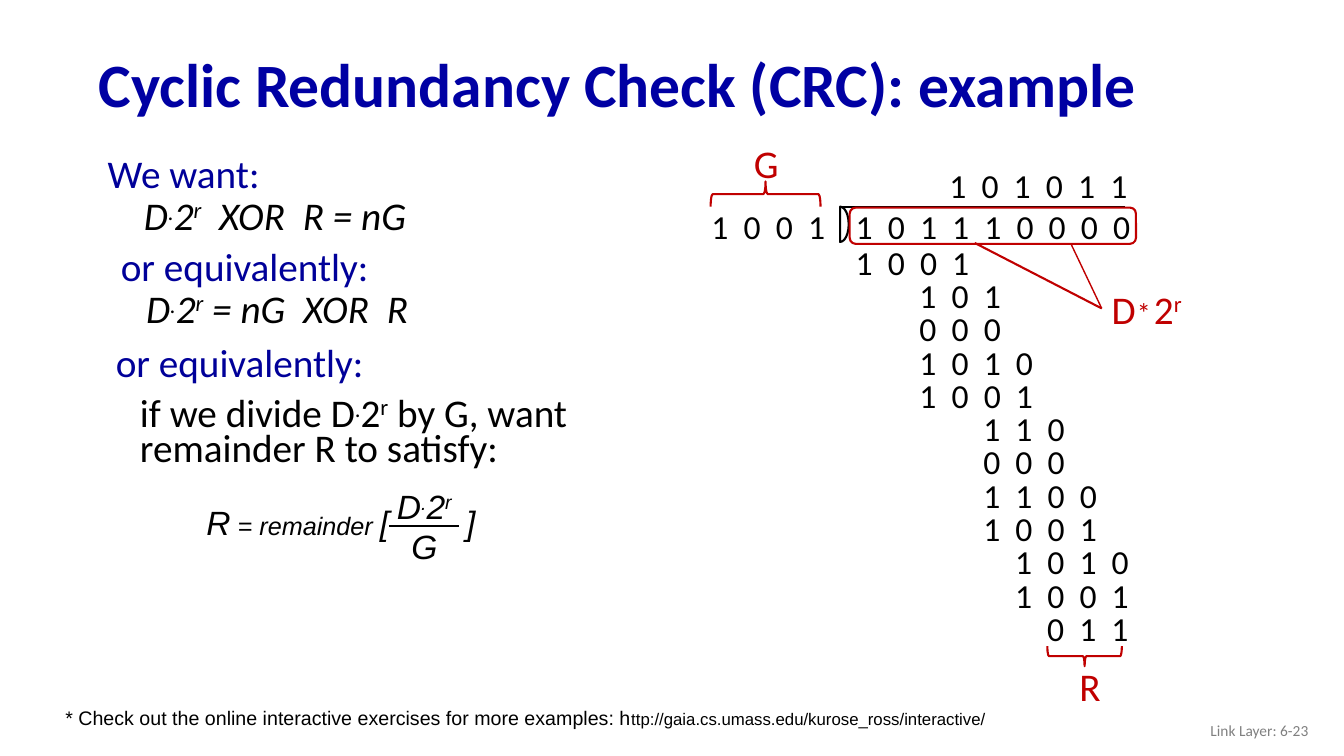
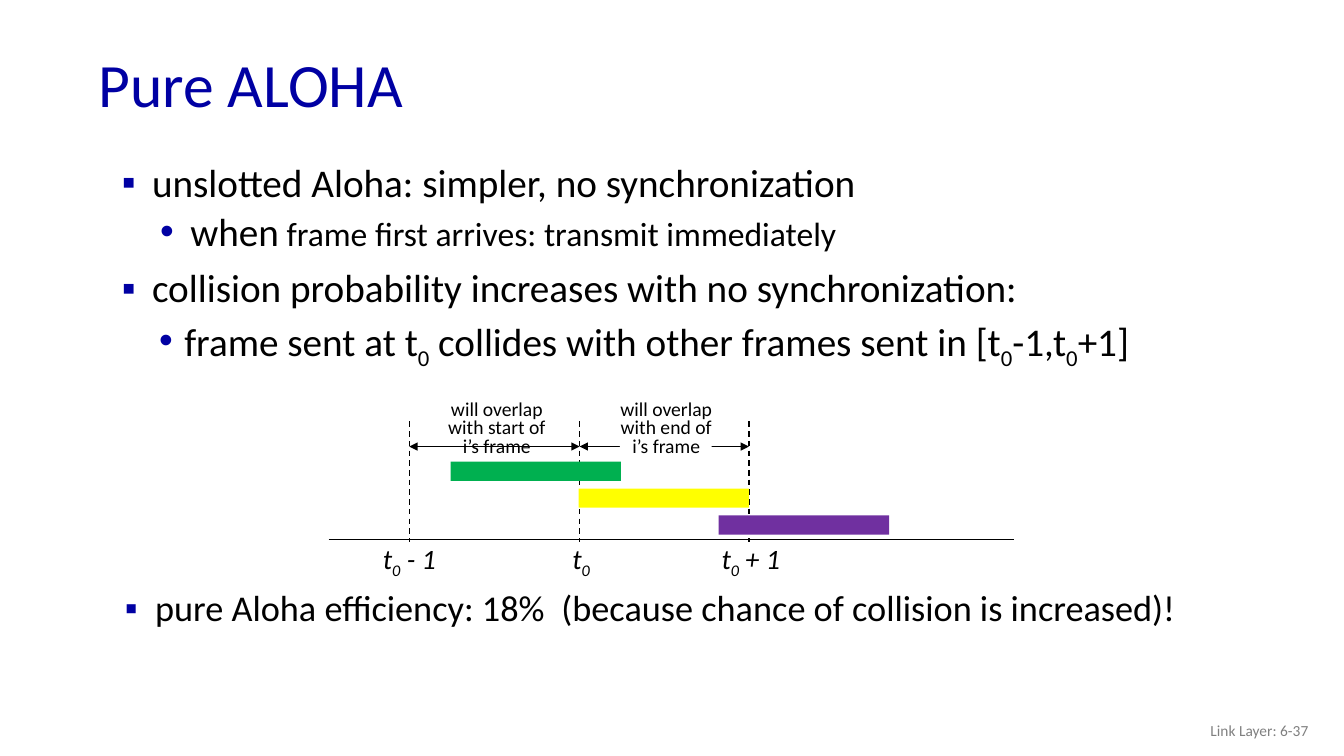
from lxml.etree import SubElement
from pptx import Presentation
from pptx.dml.color import RGBColor
from pptx.enum.dml import MSO_LINE
from pptx.enum.shapes import MSO_CONNECTOR, MSO_SHAPE
from pptx.enum.text import MSO_ANCHOR, PP_ALIGN
from pptx.oxml.ns import qn
from pptx.util import Emu, Pt

# The slide is a grid of 40 columns by 22.5 rows of square cells.
COLUMNS, ROWS, CELL = 40, 22.5, 304800
BLACK, RED, NAVY, LEAD, GRAY = "000000", "C00000", "0000A3", "000099", "808080"
BODY, FORMULA = "Calibri", "Arial"

# Long division: one column per bit, one row per step.
BIT_LEFT, BIT_TOP, BIT_COLUMN, BIT_ROW = 25.17, 7.05, 0.95, 0.99
STEPS = [(0, "1001"), (2, "101"), (2, "000"), (2, "1010"), (2, "1001"),
         (4, "110"), (4, "000"), (4, "1100"), (4, "1001"),
         (5, "1010"), (5, "1001"), (6, "011")]


def cells(*counts):
    return [Emu(round(count * CELL)) for count in counts]


def color(value):
    return RGBColor.from_string(value)


def run(text, **style):
    return text, style


def raised(text, base=30):
    return run(text, base=base)


def wide_space(points):
    """A space widened by the given points."""
    return run(" ", spread=points)


def paragraph(*runs, **layout):
    return runs, layout


def add_span(para, text, size, ink=BLACK, font=BODY, bold=False, italic=False,
             base=0, spread=0):
    span = para.add_run()
    span.text = text
    span.font.size, span.font.name = Pt(size), font
    span.font.bold, span.font.italic = bold, italic
    span.font.color.rgb = color(ink)
    properties = span._r.get_or_add_rPr()
    if base:
        properties.set("baseline", str(base * 1000))
    if spread:
        properties.set("spc", str(round(spread * 100)))


def lay_out(para, left=0, hang=0, spacing=None, before=0, bullet=None,
            level=0, align=PP_ALIGN.LEFT):
    properties = para._p.get_or_add_pPr()
    if bullet:
        tint = SubElement(properties, qn("a:buClr"))
        SubElement(tint, qn("a:srgbClr"), val=NAVY)
        SubElement(properties, qn("a:buFont"), typeface=FORMULA)
        SubElement(properties, qn("a:buChar"), char=bullet)
    margin, indent = cells(left, hang)
    properties.set("marL", str(margin))
    properties.set("indent", str(indent))
    para.level, para.alignment = level, align
    if spacing:
        para.line_spacing = spacing
    if before:
        para.space_before = Pt(before)


def add_text(page, at, *paragraphs, anchor=MSO_ANCHOR.TOP, **style):
    """Add a box of paragraphs; each run may override the shared style."""
    frame = page.shapes.add_textbox(*cells(*at)).text_frame
    frame.word_wrap, frame.vertical_anchor = True, anchor
    for index, (runs, layout) in enumerate(paragraphs):
        para = frame.add_paragraph() if index else frame.paragraphs[0]
        lay_out(para, **layout)
        for item in runs:
            text, own = (item, {}) if isinstance(item, str) else item
            add_span(para, text, **{**style, **own})


def add_shape(page, kind, at, fill=None, line=None, turn=0, adjust=()):
    shape = page.shapes.add_shape(kind, *cells(*at))
    shape.shadow.inherit = False
    shape.rotation = turn
    for index, value in enumerate(adjust):
        shape.adjustments[index] = value
    if fill:
        shape.fill.solid()
        shape.fill.fore_color.rgb = color(fill)
    else:
        shape.fill.background()
    if line:
        shape.line.color.rgb = color(line)
        shape.line.width = Pt(1.5)
    else:
        shape.line.fill.background()


def add_line(page, start, end, ink=BLACK, width=1, dashed=False, arrows=False):
    line = page.shapes.add_connector(MSO_CONNECTOR.STRAIGHT, *cells(*start, *end))
    line.line.color.rgb, line.line.width = color(ink), Pt(width)
    if dashed:
        line.line.dash_style = MSO_LINE.DASH
    if arrows:
        for end_tag in ("a:headEnd", "a:tailEnd"):
            SubElement(line.get_or_add_ln(), qn(end_tag), type="triangle")
    SubElement(line._element.spPr, qn("a:effectLst"))


def add_page(deck, title, number, bold=False):
    page = deck.slides.add_slide(deck.slide_layouts[6])
    add_text(page, (2.64, 1.14, 34.5, 2.94), paragraph(title, spacing=0.9),
             anchor=MSO_ANCHOR.MIDDLE, size=44, ink=NAVY, bold=bold)
    add_text(page, (30.24, 21.15, 9, 1.2),
             paragraph(f"Link Layer: 6-{number}", align=PP_ALIGN.RIGHT),
             anchor=MSO_ANCHOR.MIDDLE, size=11, ink=GRAY)
    return page


def add_bits(page, left, top, bits):
    add_text(page, (left, top, 0.96 * len(bits) + 0.6, 1.5),
             paragraph(" ".join(bits)), size=24, spread=2.71)


def add_condition(page, at, lead, lead_hang, *runs, italic=True, **layout):
    """A blue lead-in with the condition under it."""
    add_text(page, at,
             paragraph(run(lead, ink=LEAD, italic=False), left=1.17, hang=lead_hang,
                       spacing=0.75),
             paragraph(*runs, spacing=0.75, **layout), size=28, italic=italic)


def add_conditions(page):
    product = ["D", raised(".", 26), "2", raised("r")]
    gap = wide_space(6.3)
    equation = dict(left=2.28, hang=-0.75, before=5, level=1)
    add_condition(page, (2.46, 4.62, 16.35, 3.42), "We want:", -0.72,
                  *product, gap, "XOR", gap, "R = nG", **equation)
    add_condition(page, (2.52, 7.38, 16.35, 2.88), "or equivalently:", -0.39,
                  *product, " = nG", gap, "XOR", gap, "R", **equation)
    add_condition(page, (2.37, 10.26, 16.35, 4.11), "or equivalently:", -0.39,
                  "if we divide ", *product, " by G, want remainder R to satisfy:",
                  italic=False, left=1.5, before=10)

    formula = dict(size=24, font=FORMULA, italic=True)
    add_text(page, (10.44, 14.31, 4.38, 2.7), paragraph(*product, align=PP_ALIGN.CENTER),
             paragraph("G", align=PP_ALIGN.CENTER), **formula)
    add_line(page, (11.58, 15.66), (13.65, 15.66), width=1.5)
    add_text(page, (5.85, 14.79, 9.15, 1.56),
             paragraph("R", run(" = remainder ", size=18), "[",
                       run(" ", size=18, spread=50), "]"), **formula)


def add_division(page):
    for row, (column, bits) in enumerate(STEPS):
        add_bits(page, BIT_LEFT + column * BIT_COLUMN, BIT_TOP + row * BIT_ROW, bits)
    add_bits(page, 27.96, 4.77, "101011")
    add_bits(page, 20.88, 5.97, "1001")
    add_bits(page, BIT_LEFT, 5.99, "101110000")

    add_line(page, (25.05, 6.15), (33.48, 6.15), width=1.5)
    add_shape(page, MSO_SHAPE.PIE, (24.48, 6.42, 1.05, 0.51), line=BLACK, turn=270,
              adjust=(0, 108))
    add_shape(page, MSO_SHAPE.ROUNDED_RECTANGLE, (25.29, 6.18, 8.52, 1.08), line=RED)
    for at, turn in (((31.98, 18.42, 0.6, 2.22), 90), ((22.41, 4.14, 0.75, 3.27), 270)):
        add_shape(page, MSO_SHAPE.RIGHT_BRACE, at, line=RED, turn=turn)
    add_line(page, (29.01, 7.23), (32.79, 9.18), RED, 1.5)
    add_line(page, (31.89, 7.29), (32.79, 9.18), RED)

    for left, top, size, runs in ((22.14, 3.99, 28, ["G"]), (31.83, 19.56, 28, ["R"]),
                                  (32.79, 8.34, 28, ["D"]), (33.54, 8.64, 20, ["*"]),
                                  (34.05, 8.34, 28, ["2", raised("r")])):
        add_text(page, (left, top, 2, 1.7), paragraph(*runs), size=size, ink=RED)


def add_bullets(page):
    lower = run("0", base=-25)
    square = dict(left=1.32, hang=-0.9, spacing=0.9, bullet="▪")
    dot = dict(spacing=0.9, before=5, bullet="•", level=1)
    add_text(page, (2.91, 4.71, 34.5, 7.59),
             paragraph("unslotted Aloha: simpler, no synchronization", **square),
             paragraph("when", run(" frame first arrives: transmit immediately", size=24),
                       left=2.46, hang=-0.9, **dot),
             paragraph("collision probability increases with no synchronization:",
                       before=10, **square),
             paragraph("frame sent at t", lower, " collides with other frames sent in [t",
                       lower, "-1,t", lower, "+1]", left=2.28, hang=-0.75, **dot),
             size=28)
    add_text(page, (3, 17.43, 34.5, 2.04),
             paragraph("pure Aloha efficiency: 18%", wide_space(5.9),
                       "(because chance of collision is increased)!", **square), size=25.9)


def add_timeline(page):
    ticks = [12.18, 17.25, 22.29]
    for start, end in zip(ticks, ticks[1:]):
        add_line(page, (start, 13.29), (end, 13.29), arrows=True)
    add_shape(page, MSO_SHAPE.RECTANGLE, (18.45, 13.17, 2.73, 0.18), fill="FFFFFF")
    add_line(page, (9.78, 16.05), (30.18, 16.05))
    for tick, left, offset in zip(ticks, (11.1, 16.74, 21.18), (" - 1", "", " + 1")):
        add_line(page, (tick, 12.54), (tick, 16.14), dashed=True)
        runs = ["t", run("0", base=-25)] + ([offset] if offset else [])
        add_text(page, (left, 15.96, 3, 1.32), paragraph(*runs), size=20, italic=True)
    for row, (left, fill) in enumerate(((13.41, "00B050"), (17.22, "FFFF00"),
                                        (21.39, "7030A0"))):
        add_shape(page, MSO_SHAPE.RECTANGLE, (left, 13.74 + 0.8 * row, 5.07, 0.57), fill=fill)
    for left, edge in ((12.69, "start"), (17.73, "end")):
        lines = ("will overlap", f"with {edge} of", "i’s frame")
        add_text(page, (left, 11.79, 4.2, 2.01),
                 *(paragraph(line, spacing=0.8, align=PP_ALIGN.CENTER) for line in lines),
                 size=14)


def main():
    deck = Presentation()
    deck.slide_width, deck.slide_height = cells(COLUMNS, ROWS)

    crc = add_page(deck, "Cyclic Redundancy Check (CRC): example", 23, bold=True)
    add_conditions(crc)
    add_division(crc)
    add_text(crc, (1.65, 20.85, 31.29, 1.02),
             paragraph("* Check out the online interactive exercises for more examples: h",
                       run("ttp://gaia.cs.umass.edu/kurose_ross/interactive/", size=12)),
             size=14, font=FORMULA)

    aloha = add_page(deck, "Pure ALOHA", 37)
    add_bullets(aloha)
    add_timeline(aloha)
    deck.save("out.pptx")


if __name__ == "__main__":
    main()
